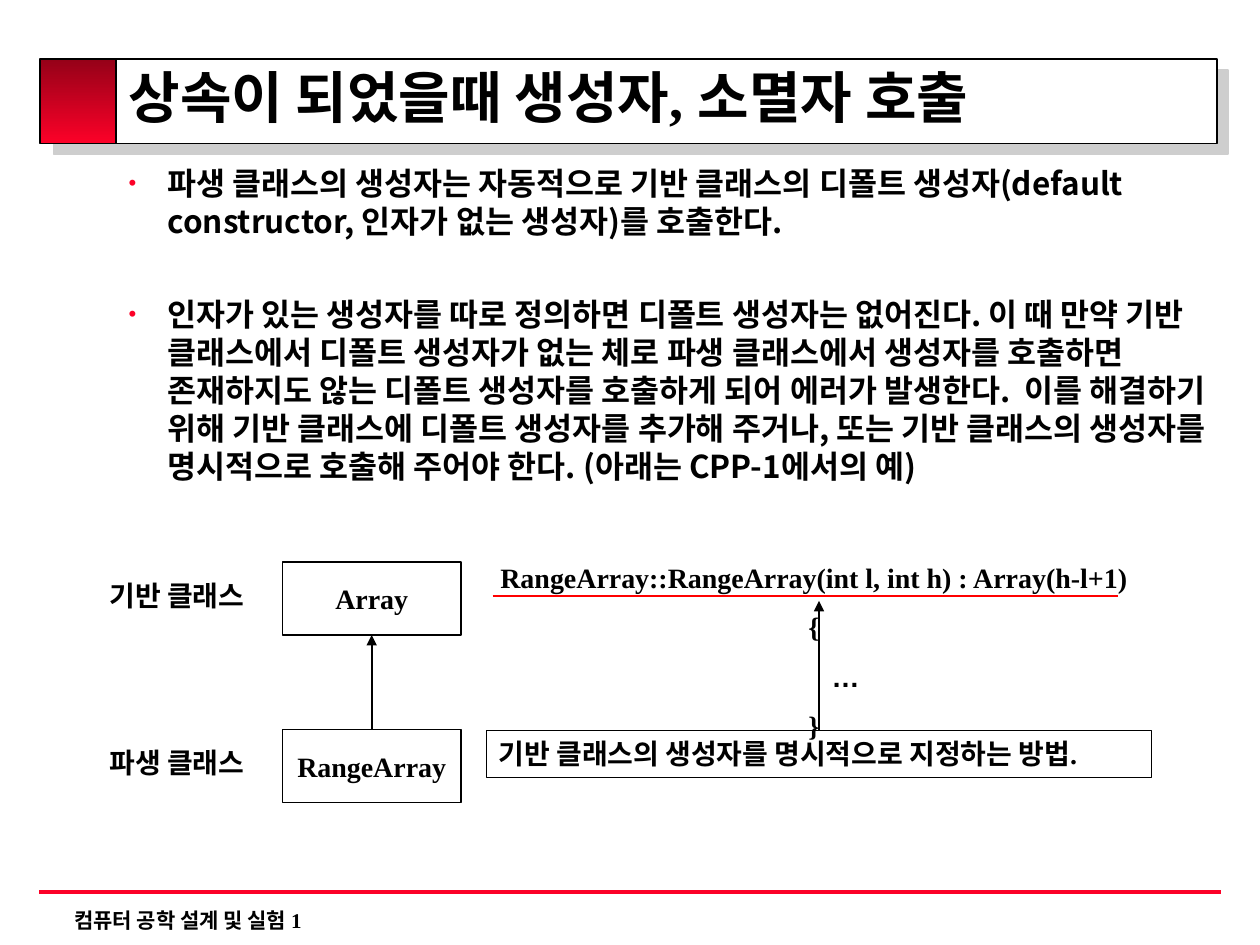
"""Build the slide on constructor and destructor calls under inheritance."""
from lxml.etree import SubElement
from pptx import Presentation
from pptx.dml.color import RGBColor
from pptx.enum.shapes import MSO_CONNECTOR, MSO_SHAPE
from pptx.enum.text import MSO_ANCHOR, MSO_AUTO_SIZE, PP_ALIGN
from pptx.oxml import parse_xml
from pptx.oxml.ns import nsdecls, qn
from pptx.util import Inches, Pt

BLACK = RGBColor(0x00, 0x00, 0x00)
WHITE = RGBColor(0xFF, 0xFF, 0xFF)
CRIMSON = RGBColor(0xFC, 0x01, 0x28)
MAROON = RGBColor(0x95, 0x01, 0x18)
RED = RGBColor(0xFF, 0x00, 0x00)
SERIF = "Times New Roman"
SANS = "Noto Sans CJK KR"


def write(box, lines, size=16, font=SERIF, align=PP_ALIGN.LEFT, anchor=MSO_ANCHOR.TOP, gap=9):
    frame = box.text_frame
    frame.text = "\n".join(lines)
    frame.word_wrap = True
    frame.auto_size = MSO_AUTO_SIZE.NONE
    frame.vertical_anchor = anchor
    for index, paragraph in enumerate(frame.paragraphs):
        paragraph.alignment = align
        paragraph.space_before = Pt(gap if index else 0)
        for span in paragraph.runs:
            span.font.size = Pt(size)
            span.font.bold = True
            span.font.color.rgb = BLACK
            span.font.name = font
            east_asian = SubElement(span.font._element, qn("a:ea"))
            east_asian.set("typeface", SANS)


def shadow_effect(distance):
    return parse_xml(
        f'<a:effectLst {nsdecls("a")}><a:outerShdw dist="{Pt(distance)}" dir="2700000" algn="ctr" '
        'rotWithShape="0"><a:srgbClr val="CECECE"/></a:outerShdw></a:effectLst>'
    )


deck = Presentation()
deck.slide_width, deck.slide_height = Inches(10), Inches(7.5)
page = deck.slides.add_slide(deck.slide_layouts[1])
shapes = page.shapes
title, body = page.placeholders

banner = shapes.add_shape(MSO_SHAPE.RECTANGLE, Inches(0.34), Inches(0.47), Inches(9.32), Inches(0.67))
banner.fill.solid()
banner.fill.fore_color.rgb = WHITE
accent = shapes.add_shape(MSO_SHAPE.RECTANGLE, Inches(0.32), Inches(0.47), Inches(0.6), Inches(0.67))
accent.shadow.inherit = False
accent.fill.gradient()
accent.fill.gradient_angle = 270
for stop, color in zip(accent.fill.gradient_stops, (MAROON, CRIMSON)):
    stop.color.rgb = color
for block in (banner, accent):
    block.line.color.rgb = BLACK
    block.line.width = Pt(1)
banner._element.spPr.append(shadow_effect(8.5))

for holder, top, height in ((title, 0.44, 0.75), (body, 1.25, 5.31)):
    holder.left, holder.top = Inches(0.92), Inches(top)
    holder.width, holder.height = Inches(8.77), Inches(height)
    shapes.element.append(holder.element)

write(title, ["상속이 되었을때 생성자, 소멸자 호출"], size=32, anchor=MSO_ANCHOR.MIDDLE)
heading = title.text_frame.paragraphs[0]
heading.line_spacing = 0.8
heading.runs[0].font._element.find(qn("a:latin")).addprevious(shadow_effect(3))

write(body, [
    "파생 클래스의 생성자는 자동적으로 기반 클래스의 디폴트 생성자(default constructor, "
    "인자가 없는 생성자)를 호출한다.",
    "인자가 있는 생성자를 따로 정의하면 디폴트 생성자는 없어진다. 이 때 만약 기반 클래스에서 "
    "디폴트 생성자가 없는 체로 파생 클래스에서 생성자를 호출하면 존재하지도 않는 디폴트 생성자를 "
    "호출하게 되어 에러가 발생한다.  이를 해결하기 위해 기반 클래스에 디폴트 생성자를 추가해 주거나, "
    "또는 기반 클래스의 생성자를 명시적으로 호출해 주어야 한다. (아래는 CPP-1에서의 예)",
], size=18, font=SANS, gap=32)
for paragraph in body.text_frame.paragraphs:
    properties = paragraph._p.get_or_add_pPr()
    properties.set("marL", str(Inches(0.31)))
    properties.set("indent", str(Inches(-0.31)))
    bullet_color = SubElement(properties, qn("a:buClr"))
    SubElement(bullet_color, qn("a:srgbClr")).set("val", str(CRIMSON))
    SubElement(properties, qn("a:buSzPct")).set("val", "70000")
    SubElement(properties, qn("a:buChar")).set("char", "•")

code = shapes.add_textbox(Inches(3.74), Inches(4.4), Inches(5.44), Inches(1.17))
write(code, ["RangeArray::RangeArray(int l, int h) : Array(h-l+1)", "{", "\t…", "}"], align=PP_ALIGN.CENTER)
code.text_frame.paragraphs[2].runs[0].font.name = "Arial"

for label, class_name, top in (("기반 클래스", "Array", 4.46), ("파생 클래스", "RangeArray", 5.79)):
    caption = shapes.add_textbox(Inches(0.77), Inches(top + 0.08), Inches(1.55), Inches(0.4))
    write(caption, [label])
    class_box = shapes.add_shape(MSO_SHAPE.RECTANGLE, Inches(2.24), Inches(top), Inches(1.42), Inches(0.58))
    class_box.shadow.inherit = False
    class_box.fill.solid()
    class_box.fill.fore_color.rgb = WHITE
    class_box.line.color.rgb = BLACK
    class_box.line.width = Pt(0.75)
    write(class_box, [class_name], align=PP_ALIGN.CENTER, anchor=MSO_ANCHOR.MIDDLE)

method = shapes.add_textbox(Inches(3.86), Inches(5.8), Inches(5.28), Inches(0.37))
method.line.color.rgb = BLACK
method.line.width = Pt(0.75)
write(method, ["기반 클래스의 생성자를 명시적으로 지정하는 방법."])

footer = shapes.add_textbox(Inches(0.49), Inches(7.15), Inches(6.68), Inches(0.3))
write(footer, ["컴퓨터 공학 설계 및 실험 1"], size=12)

for x1, y1, x2, y2, color, width, arrow in (
    (0.31, 7.08, 9.69, 7.08, CRIMSON, 2.25, False),
    (2.95, 5.79, 2.95, 5.04, BLACK, 1.25, True),
    (3.91, 4.73, 8.87, 4.73, RED, 1, False),
    (6.5, 5.8, 6.5, 4.77, BLACK, 1, True),
):
    line = shapes.add_connector(MSO_CONNECTOR.STRAIGHT, Inches(x1), Inches(y1), Inches(x2), Inches(y2))
    line.line.color.rgb = color
    line.line.width = Pt(width)
    if arrow:
        SubElement(line.line._get_or_add_ln(), qn("a:tailEnd")).set("type", "triangle")
    SubElement(line._element.spPr, qn("a:effectLst"))

deck.save("out.pptx")
